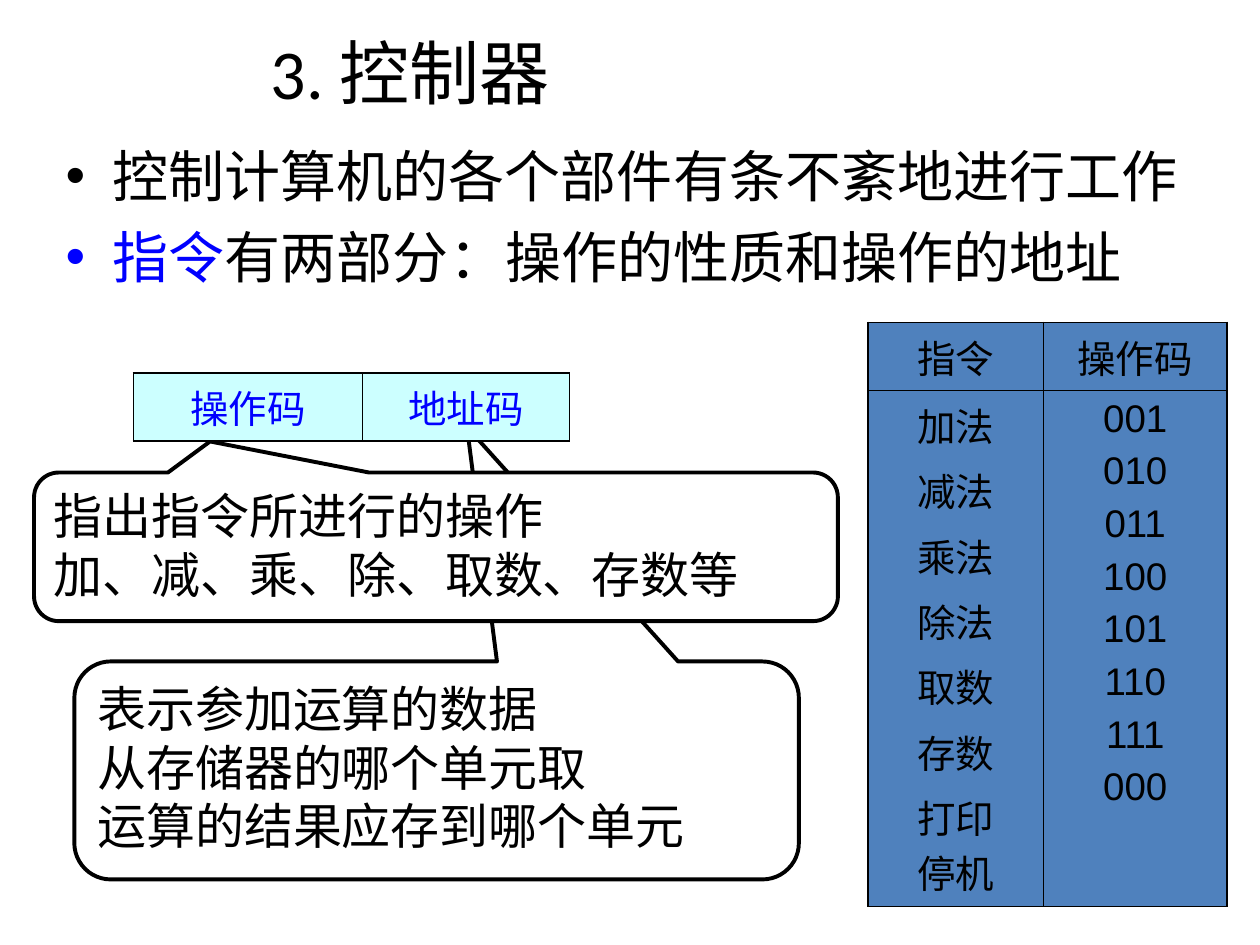
"""Build the slide on the controller, its instruction format and operation codes."""
from pptx import Presentation
from pptx.dml.color import RGBColor
from pptx.enum.shapes import MSO_SHAPE
from pptx.enum.text import MSO_ANCHOR, MSO_AUTO_SIZE, PP_ALIGN
from pptx.oxml import parse_xml
from pptx.oxml.ns import nsdecls
from pptx.util import Inches, Pt

BLACK = RGBColor(0x00, 0x00, 0x00)
WHITE = RGBColor(0xFF, 0xFF, 0xFF)
BLUE = RGBColor(0x00, 0x00, 0xFF)
PALE_CYAN = RGBColor(0xCC, 0xFF, 0xFF)
STEEL_BLUE = RGBColor(0x4F, 0x81, 0xBD)
CALLOUT = MSO_SHAPE.ROUNDED_RECTANGULAR_CALLOUT
CENTER, JUSTIFY = PP_ALIGN.CENTER, PP_ALIGN.JUSTIFY
TOP, MIDDLE = MSO_ANCHOR.TOP, MSO_ANCHOR.MIDDLE
NO_AUTOFIT = MSO_AUTO_SIZE.NONE
OUTER, INNER = 1.08, 0.45


def write_lines(frame, lines, font, size, color, align, gap=0):
    for index, line in enumerate(lines):
        paragraph = frame.paragraphs[0] if index == 0 else frame.add_paragraph()
        paragraph.text = line
        paragraph.alignment = align
        paragraph.space_before = Pt(gap if index else 0)
        paragraph.font.name = font
        paragraph.font.size = Pt(size)
        paragraph.font.color.rgb = color


def add_grid(left, top, widths, heights, rows, fill, color):
    grid = slide.shapes.add_table(
        len(heights), len(widths), Inches(left), Inches(top),
        Inches(sum(widths)), Inches(sum(heights))).table
    grid.first_row = grid.horz_banding = False
    for column, width in zip(grid.columns, widths):
        column.width = Inches(width)
    for row, height in zip(grid.rows, heights):
        row.height = Inches(height)
    for r, row in enumerate(rows):
        for c, lines in enumerate(row):
            cell = grid.cell(r, c)
            write_lines(cell.text_frame, lines, "Arial", 22, color, CENTER, 5.5)
            on_edge = {"lnL": c == 0, "lnR": c == len(widths) - 1,
                       "lnT": r == 0, "lnB": r == len(heights) - 1}
            properties = cell._tc.get_or_add_tcPr()
            for side, outer in on_edge.items():
                properties.append(parse_xml(
                    f'<a:{side} {nsdecls("a")} w="{Pt(OUTER if outer else INNER)}">'
                    f'<a:solidFill><a:srgbClr val="{BLACK}"/></a:solidFill></a:{side}>'))
            cell.fill.solid()
            cell.fill.fore_color.rgb = fill


prs = Presentation()
prs.slide_width, prs.slide_height = Inches(10), Inches(7.5)
slide = prs.slides.add_slide(prs.slide_layouts[1])

title = slide.shapes.title
title.left, title.top = Inches(0.33), Inches(0.21)
title.width, title.height = Inches(5.85), Inches(0.71)
title.text_frame.auto_size = NO_AUTOFIT
title.text_frame.vertical_anchor = MIDDLE
write_lines(title.text_frame, ["3. 控制器"], "Calibri", 40, BLACK, CENTER)

body = slide.placeholders[1]
body.left, body.top = Inches(0.42), Inches(1.07)
body.width, body.height = Inches(9.31), Inches(6.09)
body.text_frame.auto_size = NO_AUTOFIT
write_lines(body.text_frame, ["控制计算机的各个部件有条不紊地进行工作", "指令"],
            "Calibri", 32, BLACK, PP_ALIGN.LEFT, 8)
instruction = body.text_frame.paragraphs[1]
instruction.runs[0].font.color.rgb = BLUE
instruction.add_run().text = "有两部分：操作的性质和操作的地址"

callouts = [
    (0.59, 5.25, 5.75, 1.73, (0.042, -1.575, 0.167),
     ["表示参加运算的数据", "从存储器的哪个单元取", "运算的结果应存到哪个单元"]),
    (0.27, 3.75, 6.38, 1.18, (-0.281, -0.709, 0.167),
     ["指出指令所进行的操作", "加、减、乘、除、取数、存数等"]),
]
for left, top, width, height, pointer, lines in callouts:
    callout = slide.shapes.add_shape(
        CALLOUT, Inches(left), Inches(top), Inches(width), Inches(height))
    for index, value in enumerate(pointer):
        callout.adjustments[index] = value
    callout.shadow.inherit = False
    callout.fill.solid()
    callout.fill.fore_color.rgb = WHITE
    callout.line.color.rgb = BLACK
    callout.line.width = Pt(2.25)
    callout.text_frame.word_wrap = True
    callout.text_frame.vertical_anchor = TOP
    write_lines(callout.text_frame, lines, "Arial", 28, BLACK, JUSTIFY)

add_grid(1.06, 2.96, [1.82, 1.64], [0.47], [[["操作码"], ["地址码"]]], PALE_CYAN, BLUE)

operations = ["加法", "减法", "乘法", "除法", "取数", "存数", "打印\v停机"]
codes = ["001", "010", "011", "100", "101", "110", "111", "000"]
add_grid(6.89, 2.56, [1.39, 1.46], [0.52, 3.98],
         [[["指令"], ["操作码"]], [operations, codes]], STEEL_BLUE, BLACK)

prs.save("out.pptx")
